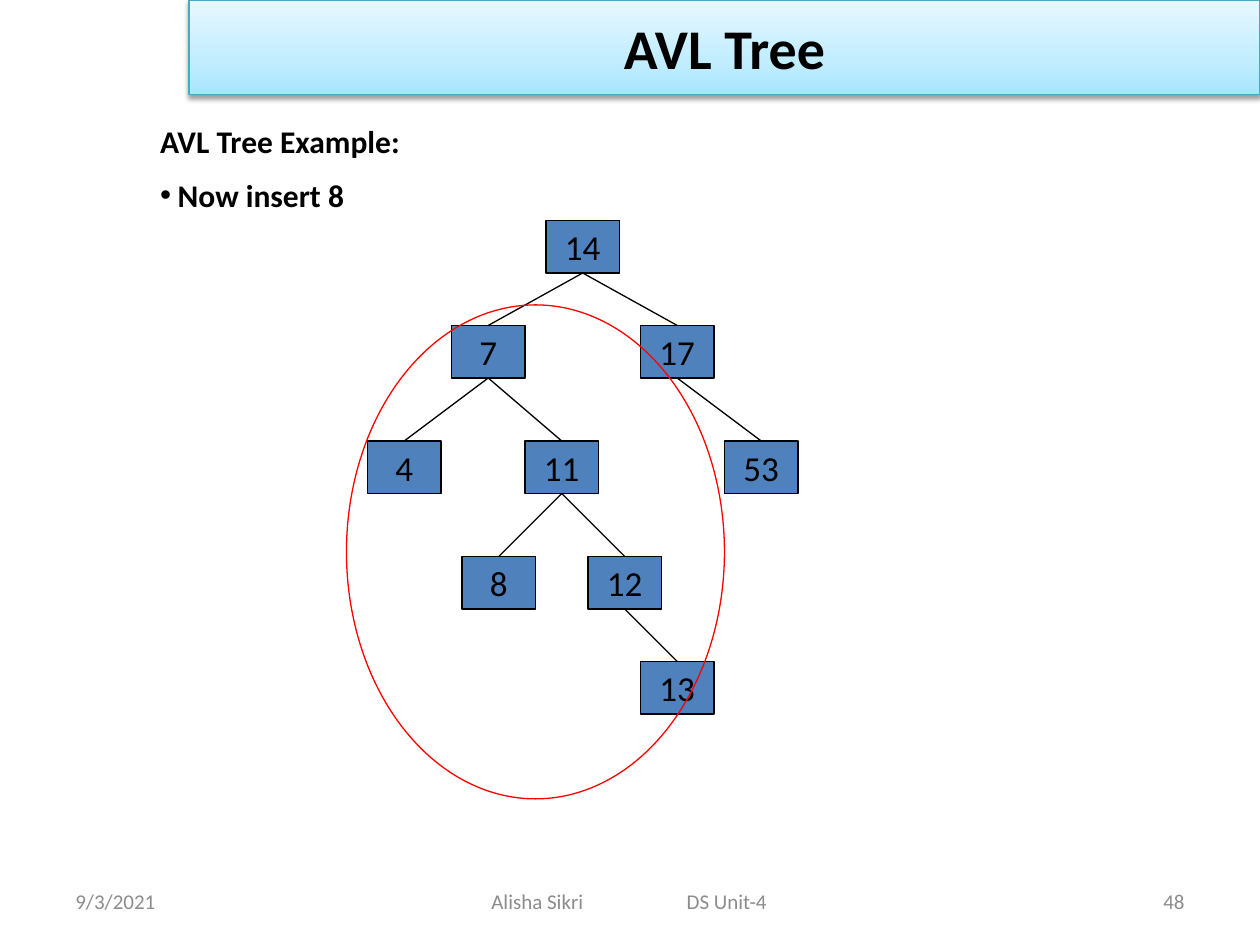
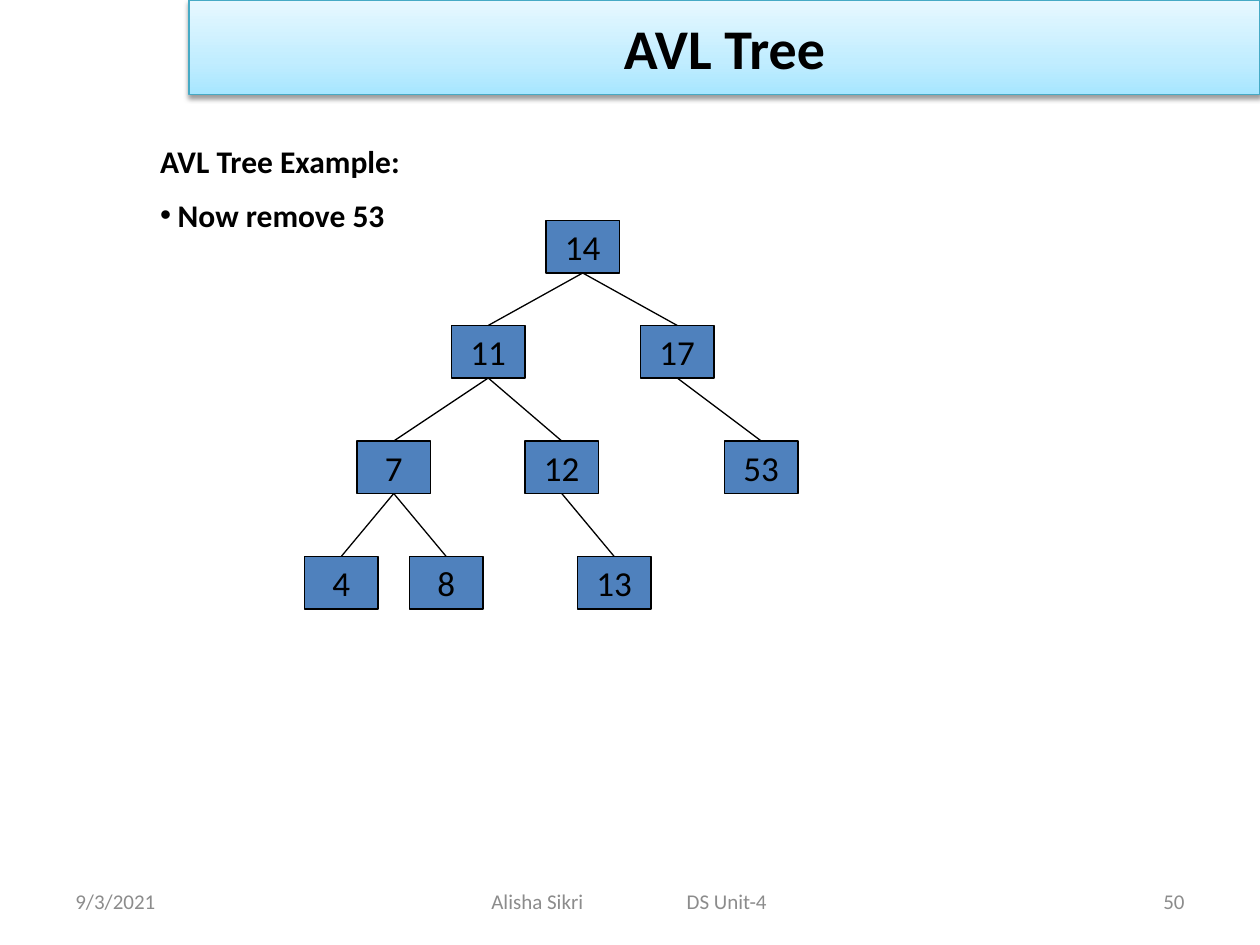
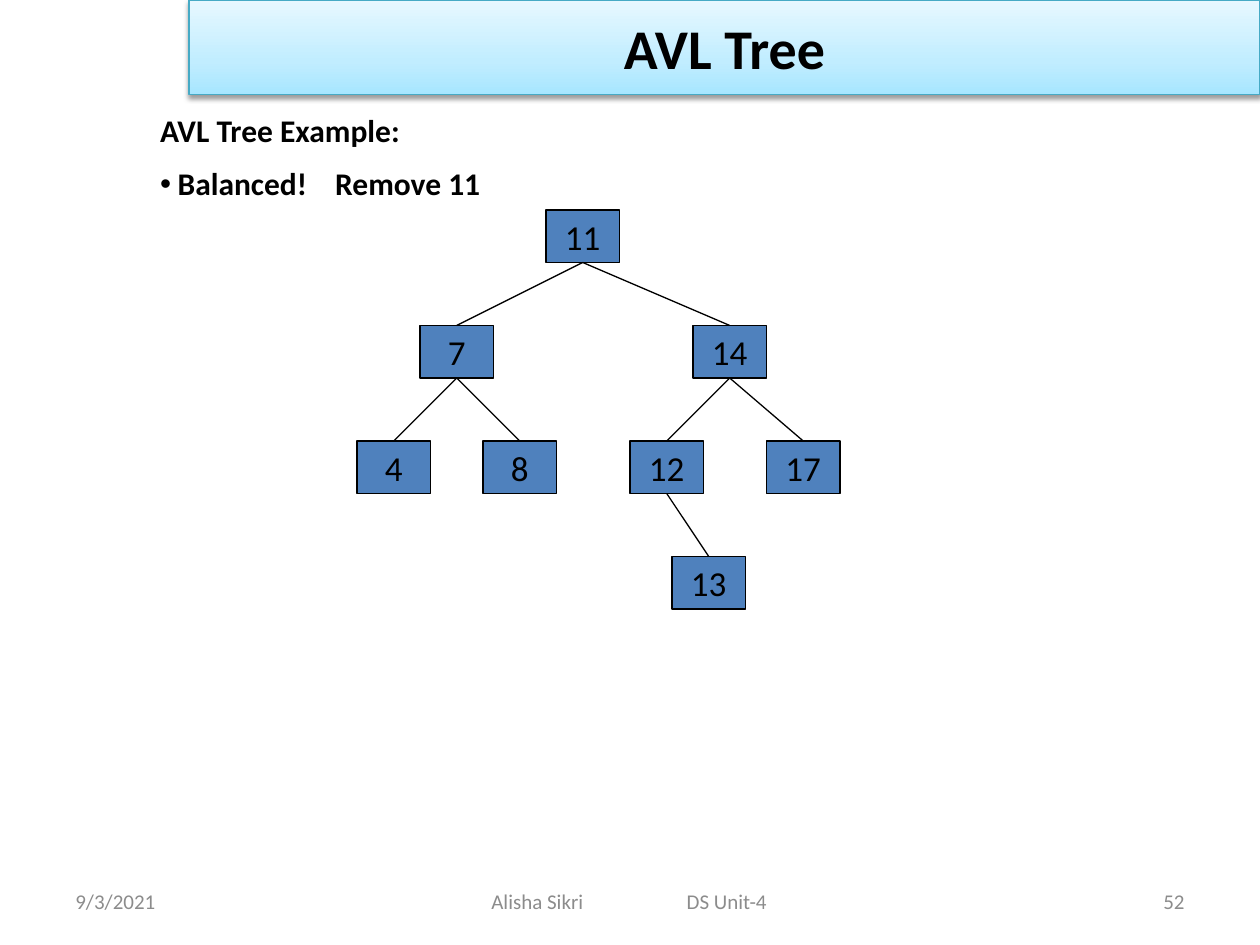
from pptx import Presentation
from pptx.dml.color import RGBColor
from pptx.enum.shapes import MSO_CONNECTOR, MSO_SHAPE
from pptx.enum.text import MSO_ANCHOR, MSO_AUTO_SIZE, PP_ALIGN
from pptx.oxml import parse_xml
from pptx.oxml.ns import nsdecls
from pptx.util import Inches, Pt

FONT = "Calibri"
BLACK = RGBColor(0x00, 0x00, 0x00)
GREY = RGBColor(0x8C, 0x8C, 0x8C)
RED = RGBColor(0xFF, 0x00, 0x00)
NODE_BLUE = RGBColor(0x4F, 0x81, 0xBD)
BAND_EDGE = RGBColor(0x46, 0xAA, 0xC5)
BAND_STOPS = [
    (0, RGBColor(0xA7, 0xE6, 0xFF)),
    (35, RGBColor(0xC1, 0xED, 0xFF)),
    (100, RGBColor(0xE7, 0xF8, 0xFF)),
]
LINE_WIDTH = Pt(0.75)

# Trees are laid out on a grid of twelfths of an inch.
GRID = Inches(1) / 12
NODE_WIDTH, NODE_HEIGHT = 7, 5


def add_xml(parent, xml):
    """Append an element written with the a: prefix."""
    head, mark, rest = xml.partition(">")
    slash = "/" if head.endswith("/") else ""
    head = head.removesuffix("/")
    parent.append(parse_xml(f"{head} {nsdecls('a')}{slash}{mark}{rest}"))


def add_tab_stop(paragraph, position):
    add_xml(paragraph._p.get_or_add_pPr(),
            f'<a:tabLst><a:tab pos="{position}" algn="l"/></a:tabLst>')


def format_font(paragraph, size, color=BLACK, bold=False):
    for run in paragraph.runs:
        font = run.font
        font.name, font.size, font.bold = FONT, Pt(size), bold
        font.color.rgb = color


def place(shape, left, top, width, height):
    shape.left, shape.top = Inches(left), Inches(top)
    shape.width, shape.height = Inches(width), Inches(height)


def set_line(shape, color):
    shape.line.color.rgb = color
    shape.line.width = LINE_WIDTH


def add_title_band(slide, text):
    title = slide.shapes.title
    place(title, 1.5, 0, 8.5, 0.75)
    properties = title._element.spPr
    stops = "".join(
        f'<a:gs pos="{percent * 1000}"><a:srgbClr val="{color}"/></a:gs>'
        for percent, color in BAND_STOPS
    )
    add_xml(properties, f'<a:gradFill><a:gsLst>{stops}</a:gsLst>'
                        '<a:lin ang="16200000" scaled="0"/></a:gradFill>')
    set_line(title, BAND_EDGE)
    add_xml(properties,
            f'<a:effectLst><a:outerShdw blurRad="{Pt(3.1)}" dist="{Pt(1.6)}" '
            'dir="5400000" rotWithShape="0"><a:srgbClr val="000000">'
            '<a:alpha val="38000"/></a:srgbClr></a:outerShdw></a:effectLst>')
    frame = title.text_frame
    frame.text = text
    frame.auto_size = MSO_AUTO_SIZE.NONE
    frame.vertical_anchor = MSO_ANCHOR.MIDDLE
    paragraph = frame.paragraphs[0]
    paragraph.alignment = PP_ALIGN.CENTER
    format_font(paragraph, 32, bold=True)


def add_step(slide, top, step):
    """Fill the body with the example heading and one bulleted step."""
    body = slide.placeholders[1]
    place(body, 1.17, top, 7.83, 0.86)
    frame = body.text_frame
    frame.auto_size = MSO_AUTO_SIZE.NONE
    heading = frame.paragraphs[0]
    heading.text = "AVL Tree Example:"
    bullet = frame.add_paragraph()
    bullet.text = step
    styles = [
        (heading, 0, 0, "<a:buNone/>"),
        (bullet, Inches(0.14), Pt(9), '<a:buChar char="•"/>'),
    ]
    for paragraph, indent, space, marker in styles:
        properties = paragraph._p.get_or_add_pPr()
        properties.set("marL", str(indent))
        properties.set("indent", str(-indent))
        add_xml(properties, marker)
        paragraph.space_before = space
        format_font(paragraph, 18, bold=True)
    if "\t" in step:
        add_tab_stop(bullet, Inches(1.39))


def add_footer_text(slide, left, width, text, alignment=PP_ALIGN.LEFT):
    box = slide.shapes.add_textbox(Inches(left), Inches(6.95), Inches(width), Inches(0.4))
    frame = box.text_frame
    frame.word_wrap = True
    frame.vertical_anchor = MSO_ANCHOR.MIDDLE
    frame.text = text
    paragraph = frame.paragraphs[0]
    paragraph.alignment = alignment
    format_font(paragraph, 12, GREY)
    return box


def add_footer(slide, number):
    add_footer_text(slide, 0.5, 2.33, "9/3/2021")
    author = add_footer_text(slide, 3.42, 3.17, "Alisha Sikri\tDS Unit-4")
    author.text_frame.margin_left = Inches(0.48)
    add_tab_stop(author.text_frame.paragraphs[0], Inches(1.55))
    add_footer_text(slide, 7.17, 2.33, str(number), PP_ALIGN.RIGHT)


def add_node(slide, value, column, row):
    left, top, width, height = (
        round(units * GRID) for units in (column, row, NODE_WIDTH, NODE_HEIGHT)
    )
    node = slide.shapes.add_shape(MSO_SHAPE.RECTANGLE, left, top, width, height)
    node.shadow.inherit = False
    node.fill.solid()
    node.fill.fore_color.rgb = NODE_BLUE
    set_line(node, BLACK)
    frame = node.text_frame
    frame.word_wrap = False
    frame.vertical_anchor = MSO_ANCHOR.MIDDLE
    frame.text = str(value)
    frame.paragraphs[0].alignment = PP_ALIGN.CENTER
    format_font(frame.paragraphs[0], 20)
    return node


def add_edge(slide, parent, child):
    edge = slide.shapes.add_connector(MSO_CONNECTOR.STRAIGHT, 0, 0, 0, 0)
    edge.begin_connect(parent, 2)
    edge.end_connect(child, 0)
    set_line(edge, BLACK)
    add_xml(edge._element.spPr, "<a:effectLst/>")


def add_tree(slide, positions, children):
    nodes = {value: add_node(slide, value, *cell) for value, cell in positions.items()}
    for parent, values in children.items():
        for value in values:
            add_edge(slide, nodes[parent], nodes[value])


def add_highlight(slide, left, top, width, height):
    ellipse = slide.shapes.add_shape(
        MSO_SHAPE.OVAL, Inches(left), Inches(top), Inches(width), Inches(height))
    ellipse.shadow.inherit = False
    ellipse.fill.background()
    set_line(ellipse, RED)


def add_tree_slide(presentation, number, step_top, step, positions, children):
    slide = presentation.slides.add_slide(presentation.slide_layouts[1])
    add_title_band(slide, "AVL Tree")
    add_step(slide, step_top, step)
    add_tree(slide, positions, children)
    add_footer(slide, number)
    return slide


def main():
    presentation = Presentation()
    presentation.slide_width, presentation.slide_height = Inches(10), Inches(7.5)

    insertion = add_tree_slide(
        presentation, 48, 0.92, "Now insert 8",
        {14: (52, 21), 7: (43, 31), 17: (61, 31), 4: (35, 42), 11: (50, 42),
         53: (69, 42), 8: (44, 53), 12: (56, 53), 13: (61, 63)},
        {14: [7, 17], 7: [4, 11], 17: [53], 11: [8, 12], 12: [13]},
    )
    add_highlight(insertion, 2.75, 2.42, 3, 3.92)

    add_tree_slide(
        presentation, 50, 1.08, "Now remove 53",
        {14: (52, 21), 11: (43, 31), 17: (61, 31), 7: (34, 42), 12: (50, 42),
         53: (69, 42), 4: (29, 53), 8: (39, 53), 13: (55, 53)},
        {14: [11, 17], 11: [7, 12], 17: [53], 7: [4, 8], 12: [13]},
    )

    add_tree_slide(
        presentation, 52, 0.83, "Balanced!\tRemove 11",
        {11: (52, 20), 7: (40, 31), 14: (66, 31), 4: (34, 42), 8: (46, 42),
         12: (60, 42), 17: (73, 42), 13: (64, 53)},
        {11: [7, 14], 7: [4, 8], 14: [12, 17], 12: [13]},
    )
    presentation.save("out.pptx")


if __name__ == "__main__":
    main()
